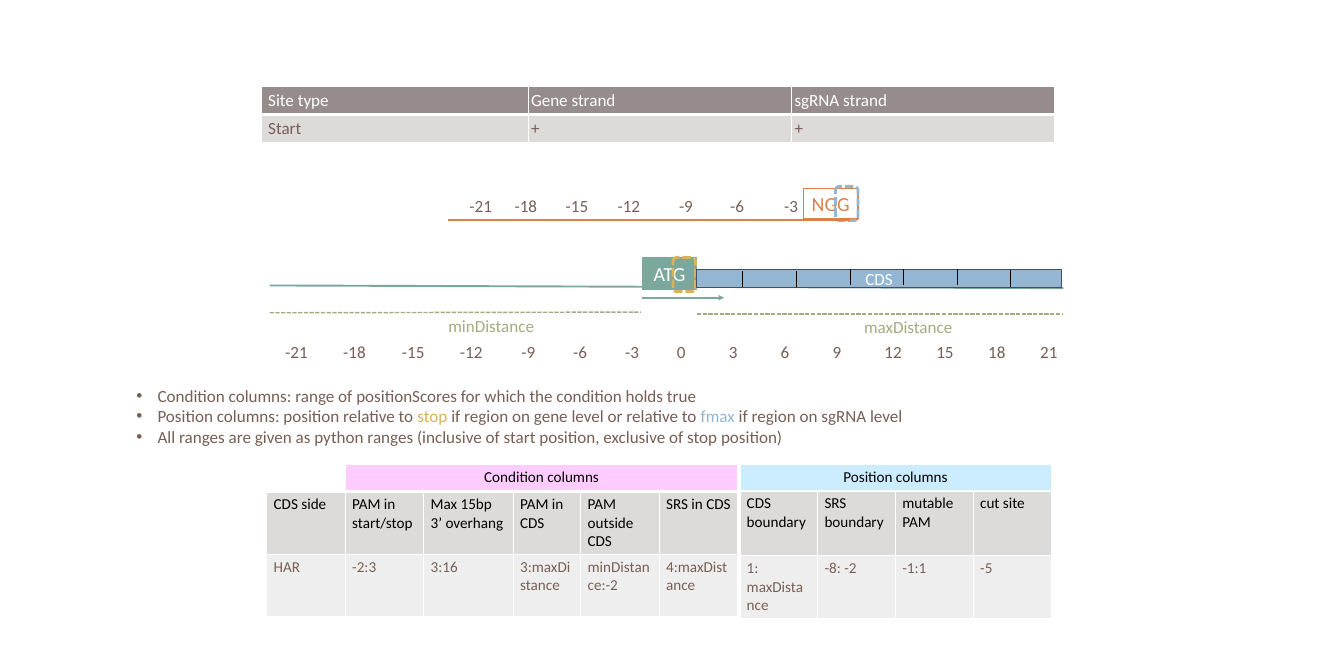
from lxml import etree
from pptx import Presentation
from pptx import util as u
from pptx.dml.color import RGBColor
from pptx.enum import dml, shapes, text
from pptx.oxml.ns import qn

PX = u.Inches(1) // 100
COLORS = {
    "white": "FFFFFF", "black": "000000", "brown": "775F55", "taupe": "968C8C",
    "grey": "DDDADA", "pale": "EFEEEE", "pink": "FFCCFF", "sky": "CCECFF",
    "green": "7BA79D", "orange": "DD8047", "blue": "94B6D2", "gold": "D8B25C",
    "olive": "A5AB81", "slate": "41505C",
}
RGB = {name: RGBColor.from_string(value) for name, value in COLORS.items()}
LEFT, CENTER = text.PP_ALIGN.LEFT, text.PP_ALIGN.CENTER


def write(para, words, color, size=18, align=LEFT):
    para.text = words
    para.alignment = align
    para.font.name = "Calibri"
    para.font.size = u.Pt(size)
    para.font.color.rgb = RGB[color]


def style_line(line, color, width, dashed=False):
    line.color.rgb = RGB[color]
    line.width = u.Pt(width)
    if dashed:
        line.dash_style = dml.MSO_LINE.SQUARE_DOT


deck = Presentation()
deck.slide_width, deck.slide_height = 1969 * PX, 984 * PX
page = deck.slides.add_slide(deck.slide_layouts[6])

strand_look = [("taupe", "white"), ("grey", "brown")]
condition_look = [("pink", "black"), ("grey", "black"), ("pale", "brown")]
position_look = [("sky", "black")] + condition_look[1:]
tables = [
    (1154, 127, [391], [41, 41], 18, strand_look, [["sgRNA strand"], ["+"]]),
    (768, 127, [391], [41, 41], 18, strand_look, [["Gene strand"], ["+"]]),
    (383, 127, [391], [41, 41], 18, strand_look, [["Site type"], ["Start"]]),
    (391, 680, [115, 115, 131, 99, 115, 115], [40, 70, 91], 16, condition_look, [
        ["", "Condition columns", "", "", "", ""],
        ["CDS side", "PAM in start/stop", "Max 15bp 3’ overhang", "PAM in CDS",
         "PAM outside CDS", "SRS in CDS"],
        ["HAR", "-2:3", "3:16", "3:maxDistance", "minDistance:-2", "4:maxDistance"],
    ]),
    (1084, 680, [114] * 4, [39, 95, 79], 16, position_look, [
        ["Position columns", "", "", ""],
        ["CDS boundary", "SRS boundary", "mutable PAM", "cut site"],
        ["1: maxDistance", "-8: -2", "-1:1", "-5"],
    ]),
]
for left, top, widths, heights, size, look, rows in tables:
    frame = page.shapes.add_table(len(rows), len(widths), left * PX, top * PX,
                                  sum(widths) * PX, sum(heights) * PX)
    table = frame.table
    table.first_row = table.horz_banding = False
    for column, width in zip(table.columns, widths):
        column.width = width * PX
    for row, height in zip(table.rows, heights):
        row.height = height * PX
    for r, (row, (fill, ink)) in enumerate(zip(rows, look)):
        for c, words in enumerate(row):
            cell = table.cell(r, c)
            title = r == 0 and len(row) > 1
            write(cell.text_frame.paragraphs[0], words, ink, size, CENTER if title else LEFT)
            if title and c == 0 and not words:
                cell.fill.background()
            else:
                cell.fill.solid()
                cell.fill.fore_color.rgb = RGB[fill]
            borders = cell._tc.get_or_add_tcPr()
            for place, side in enumerate("LRTB"):
                points = 3 if r == 0 and side == "B" else 1
                edge = etree.Element(qn(f"a:ln{side}"), w=str(u.Pt(points)))
                solid = etree.SubElement(edge, qn("a:solidFill"))
                etree.SubElement(solid, qn("a:srgbClr"), val=COLORS["white"])
                borders.insert(place, edge)
    if len(widths) > 1:
        first = rows[0].index("") if rows[0][0] else 1
        start = 0 if rows[0][0] else first
        table.cell(0, start).merge(table.cell(0, len(widths) - 1))

RECT, ROUND = shapes.MSO_SHAPE.RECTANGLE, shapes.MSO_SHAPE.ROUNDED_RECTANGLE
MIDDLE, TOP = text.MSO_ANCHOR.MIDDLE, text.MSO_ANCHOR.TOP
boxes = [
    (RECT, 941, 377, 80, 47, "green", "green", 1, "ATG", "white", 21, MIDDLE),
    (RECT, 1177, 276, 80, 45, None, "orange", 1.75, "NGG", "orange", 21, TOP),
    (ROUND, 1224, 273, 33, 50, None, "blue", 3, "", "blue", 18, MIDDLE),
    (ROUND, 986, 377, 33, 50, None, "gold", 3, "", "gold", 18, MIDDLE),
    (RECT, 1021, 395, 534, 26, "blue", "slate", 1, "CDS", "white", 18, MIDDLE),
]
for kind, left, top, width, height, fill, edge, points, words, ink, size, anchor in boxes:
    box = page.shapes.add_shape(kind, left * PX, top * PX, width * PX, height * PX)
    box.shadow.inherit = False
    if fill:
        box.fill.solid()
        box.fill.fore_color.rgb = RGB[fill]
    else:
        box.fill.background()
    style_line(box.line, edge, points, kind == ROUND)
    box.text_frame.vertical_anchor = anchor
    if words:
        write(box.text_frame.paragraphs[0], words, ink, size, CENTER)

lines = [
    (395, 418, 1558, 422, "green", 2, False, False),
    (656, 322, 1246, 322, "orange", 2, False, False),
    (941, 436, 1061, 436, "green", 1.75, False, True),
    (395, 458, 939, 457, "olive", 1.5, True, False),
    (1021, 460, 1558, 460, "olive", 1.5, True, False),
]
for i, top in enumerate([397, 397, 394, 394, 394, 396]):
    x = 1088 + round(i * 78.4)
    lines.append((x, top, x, top + 24, "black", 0.5, False, False))
for i, (x1, y1, x2, y2, color, points, dashed, arrow) in enumerate(lines):
    line = page.shapes.add_connector(shapes.MSO_CONNECTOR.STRAIGHT,
                                     x1 * PX, y1 * PX, x2 * PX, y2 * PX)
    style_line(line.line, color, points, dashed)
    if arrow:
        etree.SubElement(line.line._get_or_add_ln(), qn("a:tailEnd"), type="triangle")
    etree.SubElement(line._element.spPr, qn("a:effectLst"))
    if i == 0:
        page.shapes._spTree.insert(2, line._element)

labels = [(647, 457, 168, "minDistance", "olive"), (1256, 458, 168, "maxDistance", "olive")]
upper_lefts = [678, 744, 819, 895, 985, 1060, 1139]
lower_lefts = [408, 493, 579, 664] + [754 + 76 * i for i in range(11)]
for top, lefts in [(281, upper_lefts), (495, lower_lefts)]:
    for i, left in enumerate(lefts):
        number = str(3 * i - 21)
        labels.append((left, top, 57 if len(number) == 3 else 47, number, "brown"))
for left, top, width, words, color in labels:
    label = page.shapes.add_textbox(left * PX, top * PX, width * PX, 40 * PX)
    label.text_frame.word_wrap = True
    write(label.text_frame.paragraphs[0], words, color)

notes = [
    [("Condition columns: range of positionScores for which the condition holds true", "brown")],
    [("Position columns: position relative to ", "brown"), ("stop ", "gold"),
     ("if region on gene level or relative to ", "brown"), ("fmax ", "blue"),
     ("if region on sgRNA level", "brown")],
    [("All ranges are given as python ranges (inclusive of start position, "
      "exclusive of stop position)", "brown")],
]
box = page.shapes.add_textbox(190 * PX, 559 * PX, 1583 * PX, 101 * PX)
box.text_frame.word_wrap = True
for i, note in enumerate(notes):
    para = box.text_frame.add_paragraph() if i else box.text_frame.paragraphs[0]
    properties = para._p.get_or_add_pPr()
    properties.set("marL", str(31 * PX))
    properties.set("indent", str(-31 * PX))
    etree.SubElement(properties, qn("a:buFont"), typeface="Arial")
    etree.SubElement(properties, qn("a:buChar"), char="•")
    write(para, "", "brown")
    for words, color in note:
        span = para.add_run()
        span.text = words
        if color != "brown":
            span.font.color.rgb = RGB[color]

deck.save("out.pptx")
